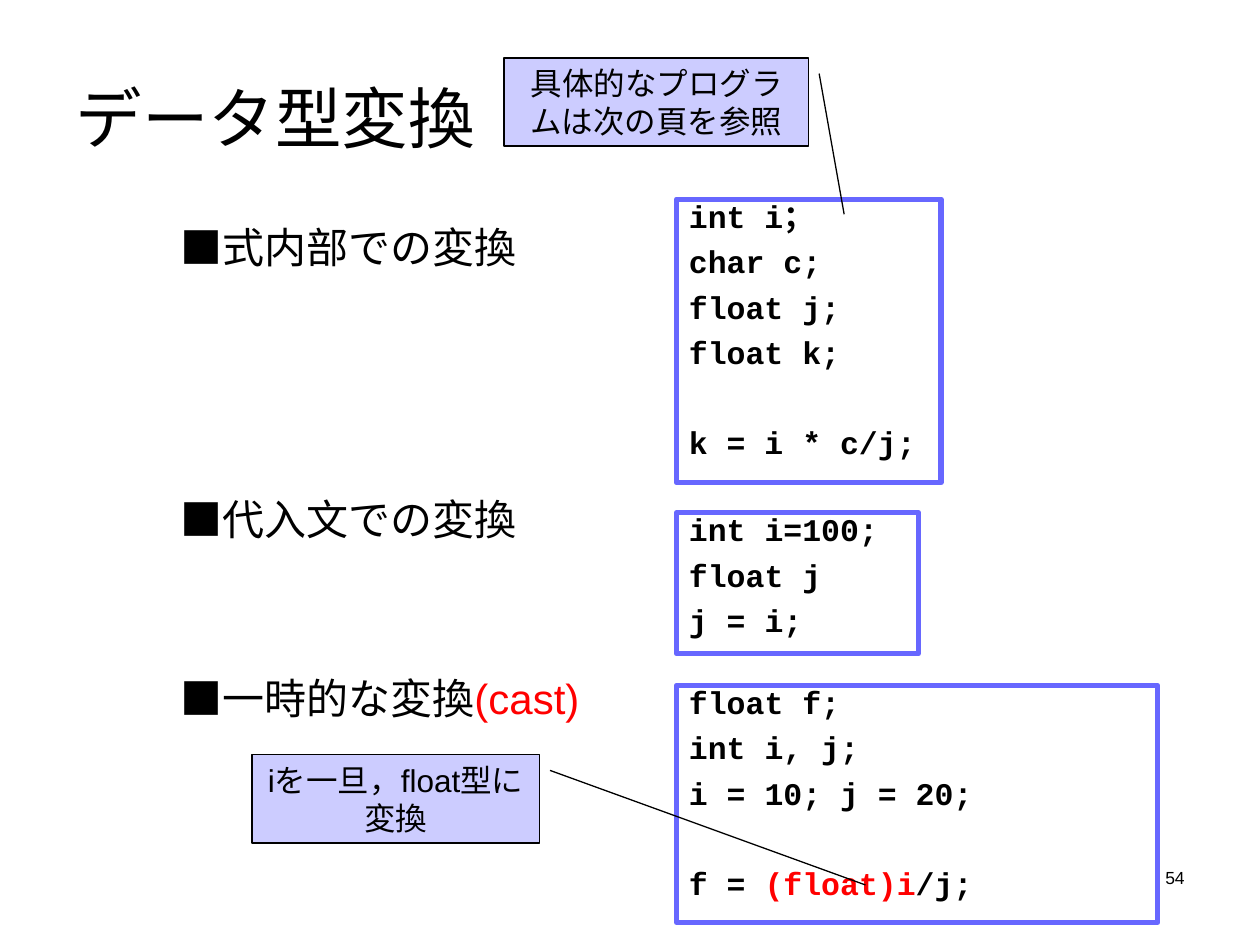
import pptx
import pptx.util
import pptx.dml.color
import pptx.enum.shapes
import pptx.enum.text

Pt = pptx.util.Pt
ALIGN = pptx.enum.text.PP_ALIGN
ANCHOR = pptx.enum.text.MSO_ANCHOR
SHAPE = pptx.enum.shapes.MSO_SHAPE

COLORS = {"text": "000000", "accent": "FF0000", "frame": "6767FF", "callout": "CCCCFF"}
TITLE = "データ型変換"
PAGE_NUMBER = "54"
HEADING_LEFT, CODE_LEFT = 96, 386.6
LINE_GAP, BLANK_LINE = 9.8, 25.2

SECTIONS = [
    {"heading": [("■代入文での変換", "text")], "heading_box": (278.6, 300),
     "code": ["int i=100;", "float j", "j = i;"], "code_box": (293, 138.2, 80.6)},
    {"heading": [("■式内部での変換", "text")], "heading_box": (123.1, 258),
     "code": ["int i；", "char c;", "float j;", "float k;", "", "k = i * c/j;"],
     "code_box": (113.8, 151.2, 162)},
    {"heading": [("■一時的な変換", "text"), ("(cast)", "accent")], "heading_box": (380.9, 300),
     "code": ["float f;", "int i, j;", "i = 10; j = 20;", "",
              [("f = ", "text"), ("(float)i", "accent"), ("/j;", "text")]],
     "code_box": (391.7, 275, 135.4)},
]
CALLOUTS = [
    ("iを一旦，float型に変換", (144, 431.3, 164.2, 50.4), (0.178, 1.037, 1.477, 2.135)),
    ("具体的なプログラムは次の頁を参照", (288, 33.1, 174.2, 50.4), (0.178, 1.034, 1.773, 1.116)),
]


def rgb(name):
    return pptx.dml.color.RGBColor.from_string(COLORS[name])


def add_runs(paragraph, runs, size, font="Arial", bold=False):
    for text, color in runs:
        run = paragraph.add_run()
        run.text = text
        run.font.name = font
        run.font.size = Pt(size)
        run.font.bold = bold
        run.font.color.rgb = rgb(color)


def add_text(slide, box, runs, size, alignment=ALIGN.LEFT):
    frame = slide.shapes.add_textbox(*map(Pt, box)).text_frame
    frame.word_wrap = True
    frame.paragraphs[0].alignment = alignment
    add_runs(frame.paragraphs[0], runs, size)


def add_box(slide, kind, box, line, width):
    shape = slide.shapes.add_shape(kind, *map(Pt, box))
    shape.shadow.inherit = False
    shape.fill.background()
    shape.line.color.rgb = rgb(line)
    shape.line.width = Pt(width)
    shape.text_frame.word_wrap = True
    shape.text_frame.vertical_anchor = ANCHOR.TOP
    return shape


def add_code(slide, box, lines):
    frame = add_box(slide, SHAPE.RECTANGLE, box, "frame", 3).text_frame
    paragraph, space = frame.paragraphs[0], 0
    for line in lines:
        if not line:
            space += BLANK_LINE
            continue
        if paragraph.runs:
            paragraph = frame.add_paragraph()
        paragraph.alignment = ALIGN.LEFT
        paragraph.line_spacing = 0.75
        paragraph.space_before = Pt(space)
        runs = [(line, "text")] if isinstance(line, str) else line
        add_runs(paragraph, runs, 18, "Courier New", True)
        space = LINE_GAP


def add_callout(slide, text, box, adjustments):
    shape = add_box(slide, SHAPE.LINE_CALLOUT_1, box, "text", 0.75)
    shape.fill.solid()
    shape.fill.fore_color.rgb = rgb("callout")
    for index, value in enumerate(adjustments):
        shape.adjustments[index] = value
    paragraph = shape.text_frame.paragraphs[0]
    paragraph.alignment = ALIGN.CENTER
    add_runs(paragraph, [(text, "text")], 18)


def main():
    """Build the slide on data type conversion."""
    presentation = pptx.Presentation()
    presentation.slide_width, presentation.slide_height = Pt(720), Pt(540)
    slide = presentation.slides.add_slide(presentation.slide_layouts[5])

    title = slide.shapes.title
    title.left, title.top, title.width, title.height = map(Pt, (36, 21.6, 648, 90))
    title.text_frame.vertical_anchor = ANCHOR.MIDDLE
    title.text_frame.paragraphs[0].alignment = ALIGN.LEFT
    add_runs(title.text_frame.paragraphs[0], [(TITLE, "text")], 38)

    add_text(slide, (516, 492, 168, 36), [(PAGE_NUMBER, "text")], 10, ALIGN.RIGHT)
    for section in SECTIONS:
        top, width = section["heading_box"]
        add_text(slide, (HEADING_LEFT, top, width, 36), section["heading"], 24)
        add_code(slide, (CODE_LEFT, *section["code_box"]), section["code"])
    for callout in CALLOUTS:
        add_callout(slide, *callout)
    presentation.save("out.pptx")


if __name__ == "__main__":
    main()
